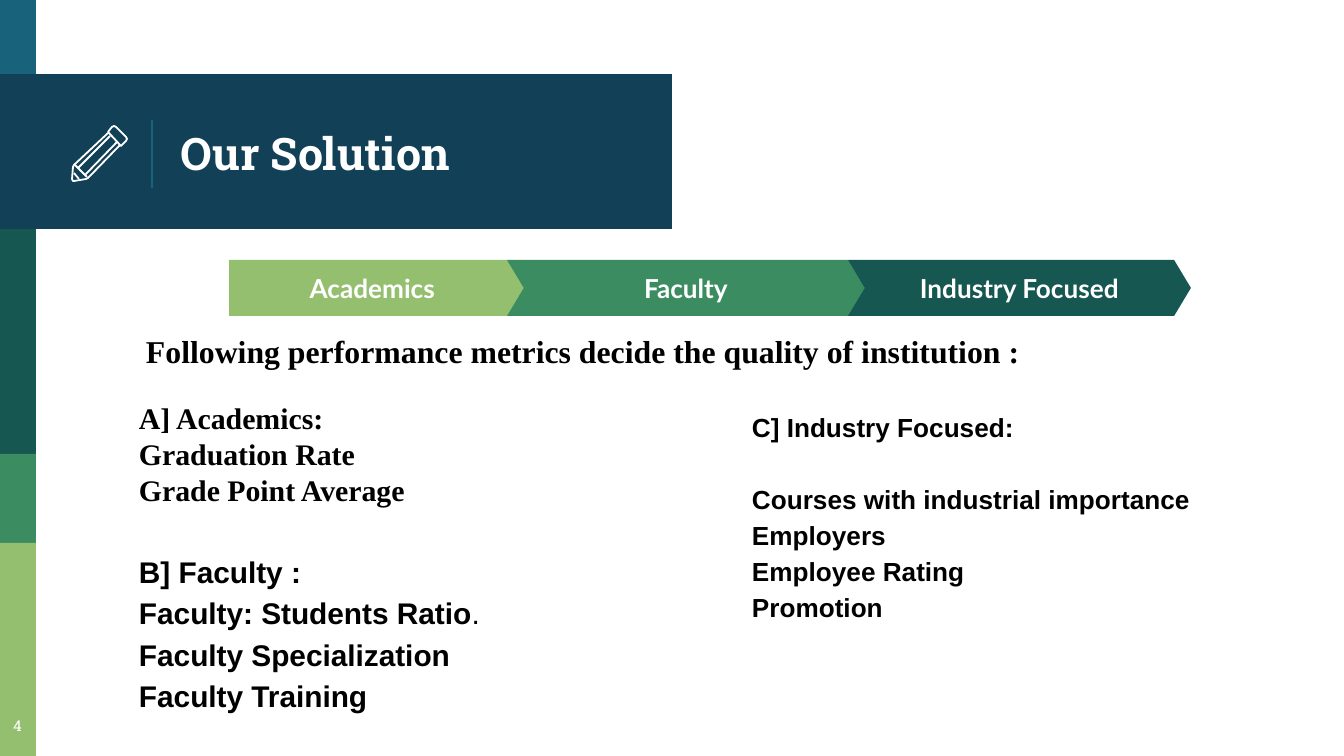
from lxml import etree
from pptx import Presentation
from pptx.dml.color import RGBColor
from pptx.enum.shapes import MSO_CONNECTOR as Connector, MSO_SHAPE as Shape
from pptx.enum.text import MSO_ANCHOR as Anchor, MSO_AUTO_SIZE as AutoSize, PP_ALIGN as Align
from pptx.oxml.ns import qn
from pptx.util import Pt

PX = 9144000 / 1344  # EMU per px on a slide 1344 px wide
WIDTH, HEIGHT = 1344, 756
INSET = 13

WHITE = RGBColor(0xFF, 0xFF, 0xFF)
BLACK = RGBColor(0x00, 0x00, 0x00)
NAVY = RGBColor(0x12, 0x40, 0x57)
BLUE = RGBColor(0x18, 0x63, 0x7B)
TEAL = RGBColor(0x16, 0x57, 0x51)
GREEN = RGBColor(0x3B, 0x8D, 0x61)
LIME = RGBColor(0x94, 0xBF, 0x6E)

SLAB, LATO, ARIAL, TIMES = "Roboto Slab", "Lato", "Arial", "Times New Roman"

# Pencil outlines in a 55 px square: points, closed or not
PENCIL = [
    ([(36, 6), (40, 1), (42, 0), (44, 1), (54, 11), (55, 13), (54, 15), (49, 20)], True),
    ([(45, 16), (13, 49)], False),
    ([(36, 7), (2, 39), (1, 41), (0, 53), (1, 55), (2, 55), (14, 53), (16, 52), (48, 19)], False),
    ([(6, 42), (38, 10)], False),
    ([(7, 53), (2, 47)], False),
    ([(3, 39), (6, 42), (12, 48), (15, 51)], False),
]


def emu(*lengths):
    return [round(length * PX) for length in lengths]


def add_block(slide, kind, box, color):
    shape = slide.shapes.add_shape(kind, *emu(*box))
    shape.shadow.inherit = False
    shape.fill.solid()
    shape.fill.fore_color.rgb = color
    shape.line.fill.background()
    return shape


def set_frame(shape, anchor):
    frame = shape.text_frame
    frame.word_wrap = True
    frame.vertical_anchor = anchor
    frame.margin_left, frame.margin_top, frame.margin_right, frame.margin_bottom = emu(*[INSET] * 4)
    return frame


def style(paragraph, name, size, color, bold=True, align=Align.LEFT):
    font = paragraph.font
    font.name, font.size, font.bold = name, Pt(size), bold
    font.color.rgb = color
    paragraph.alignment = align


def add_text(slide, box, lines, name, size, color, anchor=Anchor.TOP, **options):
    frame = set_frame(slide.shapes.add_textbox(*emu(*box)), anchor)
    for index, line in enumerate(lines):
        paragraph = frame.add_paragraph() if index else frame.paragraphs[0]
        paragraph.text = line
        style(paragraph, name, size, color, **options)
    return frame


def add_sidebar(slide, box):
    left, top, width, height = box
    edges = [0, 78, 229, 454, 543, height]
    for color, start, end in zip([BLUE, NAVY, TEAL, GREEN, LIME], edges, edges[1:]):
        add_block(slide, Shape.RECTANGLE, (left, top + start, width, end - start), color)
    add_text(slide, (left - 8, top + height - 48, 51, 47), ["4"], SLAB, 8, WHITE,
             bold=False, align=Align.CENTER)


def add_pencil(slide, left, top):
    group = slide.shapes.add_group_shape()
    for points, closed in PENCIL:
        (start_x, start_y), *rest = [(left + x, top + y) for x, y in points]
        builder = group.shapes.build_freeform(start_x, start_y, scale=PX)
        builder.add_line_segments(rest, close=closed)
        outline = builder.convert_to_shape()
        outline.shadow.inherit = False
        outline.fill.background()
        outline.line.color.rgb = WHITE
        outline.line.width = Pt(0.96)


def add_banner(slide, box):
    left, top, width, height = box
    add_block(slide, Shape.RECTANGLE, box, NAVY)
    divider = slide.shapes.add_connector(
        Connector.STRAIGHT, *emu(left + 152, top + 46, left + 152, top + 114))
    divider.line.color.rgb = BLUE
    divider.line.width = Pt(0.75)
    etree.SubElement(divider.element.spPr, qn("a:effectLst"))
    add_text(slide, (left + 168, top + 4, 472, height - 6), ["Our Solution"], SLAB, 24, WHITE,
             anchor=Anchor.MIDDLE)
    add_pencil(slide, left + 72, top + 52)


def add_steps(slide, box):
    left, top, width, height = box
    steps = [
        ("Academics", Shape.PENTAGON, 0, 295, LIME),
        ("Faculty", Shape.CHEVRON, 278, 636, GREEN),
        ("Industry Focused", Shape.CHEVRON, 619, width, TEAL),
    ]
    for label, kind, start, end, color in steps:
        arrow = add_block(slide, kind, (left + start, top, end - start, height), color)
        arrow.adjustments[0] = 0.3
        paragraph = set_frame(arrow, Anchor.MIDDLE).paragraphs[0]
        paragraph.text = label
        style(paragraph, LATO, 14, WHITE, align=Align.CENTER)


def add_metrics(slide, box):
    left, top, width, height = box
    heading = add_text(
        slide, (left + 7, top, width - 7, 66),
        ["Following performance metrics decide the quality of institution :"], TIMES, 17, BLACK)

    # Academics, then faculty in the same column
    column = add_text(
        slide, (left, top + 68, 465, 339),
        ["A] Academics:", "Graduation Rate", "Grade Point Average", "B] Faculty :",
         "Faculty: Students Ratio", "Faculty Specialization", "Faculty Training"],
        TIMES, 16, BLACK)
    faculty = column.paragraphs[3:]
    for paragraph in faculty:
        paragraph.font.name = ARIAL
        paragraph.line_spacing = 1.15
    faculty[0].space_before = Pt(22)
    full_stop = faculty[1].add_run()
    full_stop.text = "."
    full_stop.font.bold = False

    # Industry
    industry = add_text(
        slide, (left + 613, top + 75, 465, 277),
        ["C] Industry Focused:", "Courses with industrial importance", "Employers",
         "Employee Rating", "Promotion"],
        ARIAL, 14, BLACK)
    for paragraph in industry.paragraphs:
        paragraph.line_spacing = 1.15
    industry.paragraphs[1].space_before = Pt(19.3)

    for frame in (heading, column, industry):
        frame.auto_size = AutoSize.SHAPE_TO_FIT_TEXT


def main():
    presentation = Presentation()
    presentation.slide_width, presentation.slide_height = emu(WIDTH, HEIGHT)
    slide = presentation.slides.add_slide(presentation.slide_layouts[6])
    add_sidebar(slide, (0, 0, 36, HEIGHT))
    add_banner(slide, (0, 74, 672, 155))
    add_steps(slide, (229, 260, 962, 56))
    add_metrics(slide, (126, 319, 1144, 407))
    presentation.save("out.pptx")


if __name__ == "__main__":
    main()
